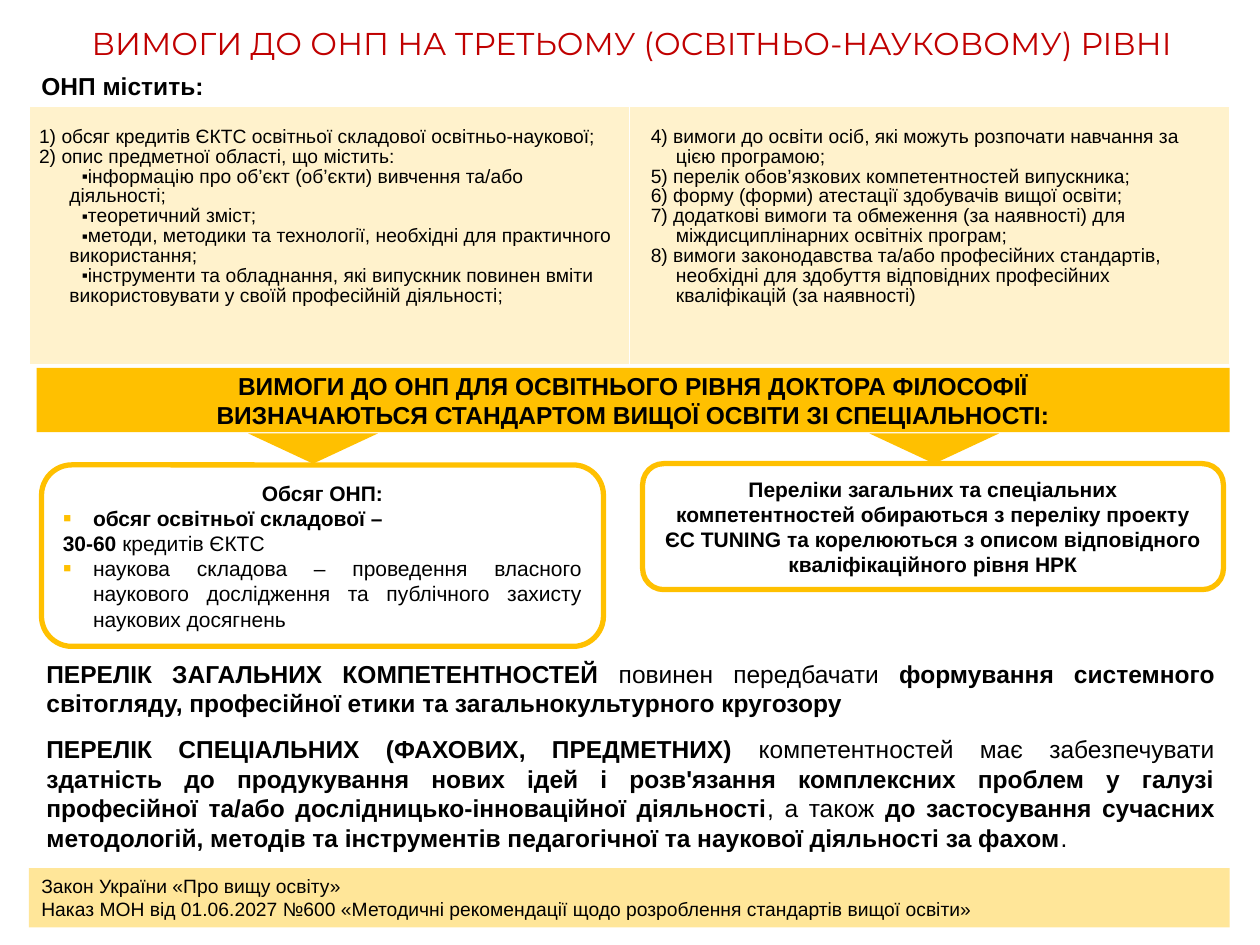
import pptx
import pptx.util
import pptx.dml.color
import pptx.enum.shapes
import pptx.enum.text
from dataclasses import dataclass
from lxml import etree
from pptx.oxml.ns import qn

Inches = pptx.util.Inches
Pt = pptx.util.Pt
Shape = pptx.enum.shapes.MSO_SHAPE
Align = pptx.enum.text.PP_ALIGN
Anchor = pptx.enum.text.MSO_ANCHOR

GOLD, CREAM, SAND = "FFC000", "FFF2CC", "FFE699"
BLACK, WHITE, RED = "000000", "FFFFFF", "C00000"


@dataclass
class Line:
    runs: list[tuple[str, bool]]
    align: Align = Align.LEFT
    margin: float = 0
    indent: float = 0
    bullet: str = ""
    bullet_size: int = 100
    before: float = 0


@dataclass
class Block:
    left: float
    top: float
    width: float
    height: float
    lines: list[Line]
    size: float
    color: str = BLACK
    font: str = "Arial"
    preset: Shape = Shape.RECTANGLE
    fill: str = ""
    outline: str = ""
    anchor: Anchor = Anchor.MIDDLE


def rgb(value: str) -> pptx.dml.color.RGBColor:
    return pptx.dml.color.RGBColor.from_string(value)


def write_lines(frame, lines: list[Line], size: float, color: str = BLACK,
                font: str = "Arial", spacing: float = 1) -> None:
    for number, line in enumerate(lines):
        paragraph = frame.add_paragraph() if number else frame.paragraphs[0]
        paragraph.alignment = line.align
        paragraph.line_spacing = spacing
        if line.before:
            paragraph.space_before = Pt(line.before)
        properties = paragraph._p.get_or_add_pPr()
        properties.set("marL", str(Inches(line.margin)))
        properties.set("indent", str(Inches(line.indent)))
        if line.bullet:
            tint = etree.SubElement(properties, qn("a:buClr"))
            etree.SubElement(tint, qn("a:srgbClr"), val=line.bullet)
            etree.SubElement(properties, qn("a:buSzPct"), val=str(line.bullet_size * 1000))
            etree.SubElement(properties, qn("a:buFont"), typeface="Arial")
            etree.SubElement(properties, qn("a:buChar"), char="▪")
        else:
            etree.SubElement(properties, qn("a:buNone"))
        paragraph.font.name = font
        paragraph.font.size = Pt(size)
        paragraph.font.color.rgb = rgb(color)
        weights = {bold for _, bold in line.runs}
        if len(weights) == 1:
            paragraph.font.bold = weights.pop()
        for text, bold in line.runs:
            run = paragraph.add_run()
            run.text = text
            if weights:
                run.font.bold = bold


def draw_block(slide, block: Block) -> None:
    box = (Inches(block.left), Inches(block.top), Inches(block.width), Inches(block.height))
    if block.fill or block.outline:
        shape = slide.shapes.add_shape(block.preset, *box)
        shape.shadow.inherit = False
    else:
        shape = slide.shapes.add_textbox(*box)
    if block.fill:
        shape.fill.solid()
        shape.fill.fore_color.rgb = rgb(block.fill)
    else:
        shape.fill.background()
    if block.outline:
        shape.line.color.rgb = rgb(block.outline)
        shape.line.width = Pt(3)
    else:
        shape.line.fill.background()
    shape.text_frame.word_wrap = True
    shape.text_frame.vertical_anchor = block.anchor
    write_lines(shape.text_frame, block.lines, block.size, block.color, block.font)


def draw_contents(slide, columns: list[list[Line]]) -> None:
    table = slide.shapes.add_table(1, len(columns), Inches(0.23), Inches(0.84),
                                   Inches(9.53), Inches(2.06)).table
    for cell, lines in zip(table.rows[0].cells, columns):
        cell.margin_left = cell.margin_right = Inches(0.08)
        cell.margin_top = Inches(0.17)
        cell.margin_bottom = Inches(0.05)
        write_lines(cell.text_frame, lines, 11, spacing=0.93)
        properties = cell._tc.get_or_add_tcPr()
        for side, width in (("L", 0.45), ("R", 0.45), ("T", 0.45), ("B", 1.47)):
            border = etree.SubElement(properties, qn(f"a:ln{side}"), w=str(Pt(width)))
            paint = etree.SubElement(border, qn("a:solidFill"))
            etree.SubElement(paint, qn("a:srgbClr"), val=WHITE)
        cell.fill.solid()
        cell.fill.fore_color.rgb = rgb(CREAM)


def plain(text: str, **layout) -> Line:
    return Line([(text, False)], **layout)


def strong(text: str, **layout) -> Line:
    return Line([(text, True)], **layout)


SUBJECT = dict(margin=0.24, indent=0.1, bullet=BLACK, bullet_size=90)
NUMBERED = dict(margin=0.29, indent=-0.2)
VOLUME = dict(align=Align.JUSTIFY, margin=0.24, indent=-0.24, bullet=GOLD, bullet_size=120)

CONTENTS = [
    [plain("1) обсяг кредитів ЄКТС освітньої складової освітньо-наукової;"),
     plain("2) опис предметної області, що містить:")]
    + [plain(text, **SUBJECT) for text in (
        "інформацію про об’єкт (об’єкти) вивчення та/або діяльності;",
        "теоретичний зміст;",
        "методи, методики та технології, необхідні для практичного використання;",
        "інструменти та обладнання, які випускник повинен вміти використовувати у своїй професійній діяльності;")],
    [plain(text, **NUMBERED) for text in (
        "4) вимоги до освіти осіб, які можуть розпочати навчання за цією програмою;",
        "5) перелік обов’язкових компетентностей випускника;",
        "6) форму (форми) атестації здобувачів вищої освіти;",
        "7) додаткові вимоги та обмеження (за наявності) для міждисциплінарних освітніх програм;",
        "8) вимоги законодавства та/або професійних стандартів, необхідні для здобуття відповідних професійних кваліфікацій (за наявності)")],
]

BLOCKS = [
    Block(0.32, 0.14, 9.39, 0.4,
          [plain("ВИМОГИ ДО ОНП НА ТРЕТЬОМУ (ОСВІТНЬО-НАУКОВОМУ) РІВНІ", align=Align.CENTER)],
          18, RED, "Montserrat", fill=WHITE),
    Block(0.23, 0.51, 9.53, 0.34, [strong("ОНП містить:", align=Align.JUSTIFY)], 14),
    Block(0.27, 5.18, 9.47, 1.64, [
        Line([("ПЕРЕЛІК ЗАГАЛЬНИХ КОМПЕТЕНТНОСТЕЙ ", True), ("повинен передбачати ", False),
              ("формування системного світогляду, професійної етики та загальнокультурного кругозору", True)],
             Align.JUSTIFY),
        Line([("ПЕРЕЛІК СПЕЦІАЛЬНИХ (ФАХОВИХ, ПРЕДМЕТНИХ) ", True),
              ("компетентностей має забезпечувати ", False),
              ("здатність до продукування нових ідей і розв'язання комплексних проблем у галузі "
               "професійної та/або дослідницько-інноваційної діяльності", True),
              (", а також ", False),
              ("до застосування сучасних методологій, методів та інструментів педагогічної "
               "та наукової діяльності за фахом", True), (".", False)],
             Align.JUSTIFY, before=9.6)], 14, anchor=Anchor.TOP),
    Block(0.29, 2.92, 9.47, 0.51, [
        strong("ВИМОГИ ДО ОНП ДЛЯ ОСВІТНЬОГО РІВНЯ ДОКТОРА ФІЛОСОФІЇ", align=Align.CENTER),
        strong("ВИЗНАЧАЮТЬСЯ СТАНДАРТОМ ВИЩОЇ ОСВІТИ ЗІ СПЕЦІАЛЬНОСТІ:", align=Align.CENTER)],
        14, fill=GOLD),
    Block(0.33, 3.69, 4.46, 1.44, [
        strong("Обсяг ОНП:", align=Align.CENTER),
        strong("обсяг освітньої складової –", **VOLUME),
        Line([("30-60 ", True), ("кредитів ЄКТС", False)], Align.JUSTIFY),
        plain("наукова складова – проведення власного наукового дослідження "
              "та публічного захисту наукових досягнень", **VOLUME)],
        12, preset=Shape.ROUNDED_RECTANGLE, outline=GOLD),
    Block(5.1, 3.68, 4.61, 1, [
        strong("Переліки загальних та спеціальних компетентностей обираються з переліку проекту "
               "ЄC TUNING та корелюються з описом відповідного кваліфікаційного рівня НРК",
               align=Align.CENTER)],
        12, preset=Shape.ROUNDED_RECTANGLE, outline=GOLD),
    Block(0.23, 6.89, 9.53, 0.47, [
        plain("Закон України «Про вищу освіту»"),
        plain("Наказ МОН від 01.06.2027 №600 «Методичні рекомендації щодо розроблення стандартів вищої освіти»")],
        11, fill=SAND),
] + [Block(left, 3.44, 1.03, 0.24, [], 12, preset=Shape.FLOWCHART_MERGE, fill=GOLD)
     for left in (1.97, 6.9)]


def main() -> None:
    deck = pptx.Presentation()
    deck.slide_width, deck.slide_height = Inches(10), Inches(7.5)
    slide = deck.slides.add_slide(deck.slide_layouts[6])
    for block in BLOCKS:
        draw_block(slide, block)
    draw_contents(slide, CONTENTS)
    deck.save("out.pptx")


if __name__ == "__main__":
    main()
